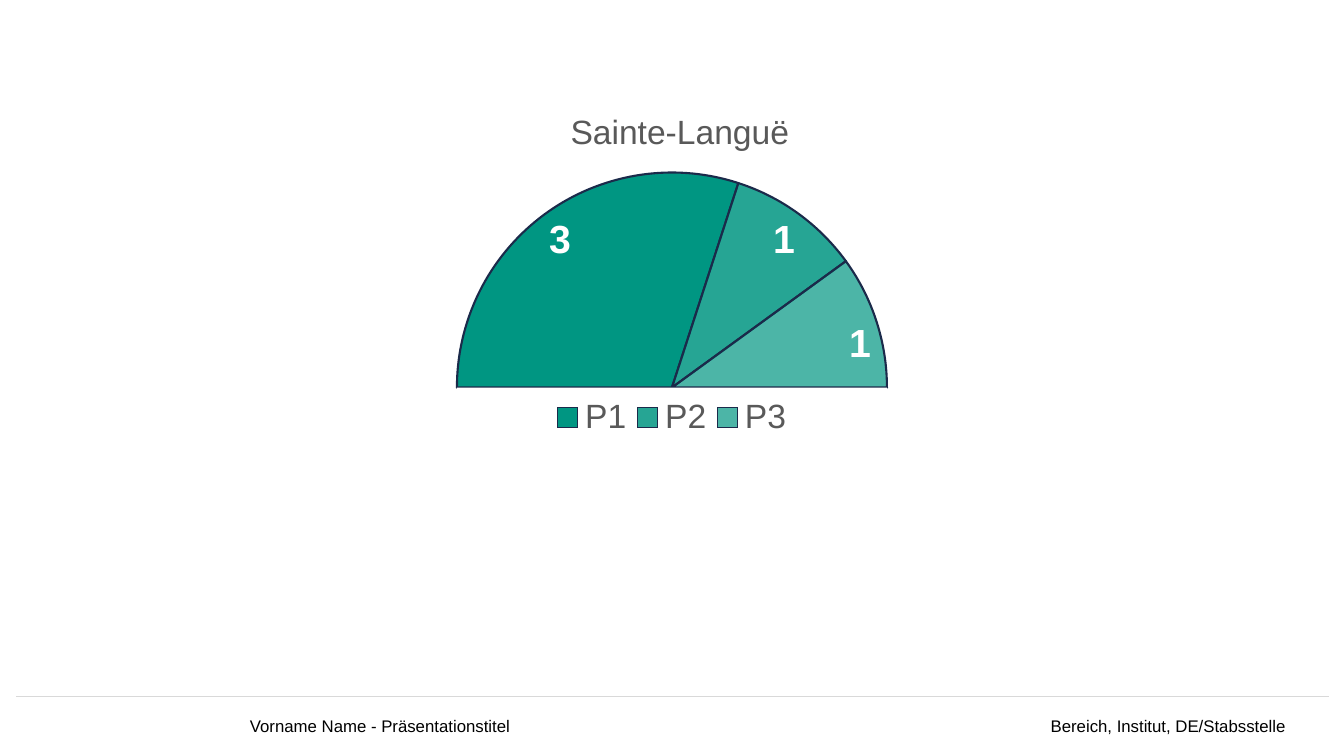
from lxml.etree import SubElement
from pptx import Presentation
from pptx.chart.data import CategoryChartData
from pptx.dml.color import RGBColor
from pptx.enum.chart import XL_CHART_TYPE, XL_LABEL_POSITION, XL_LEGEND_POSITION
from pptx.enum.shapes import MSO_CONNECTOR
from pptx.enum.text import MSO_ANCHOR, PP_ALIGN
from pptx.oxml import parse_xml
from pptx.oxml.ns import nsdecls, qn
from pptx.util import Pt

GREEN = RGBColor(0x00, 0x96, 0x82)
NAVY = RGBColor(0x1B, 0x2A, 0x4A)
GREY = RGBColor(0x59, 0x59, 0x59)
RULE_GREY = RGBColor(0xD9, 0xD9, 0xD9)
BLACK = RGBColor(0, 0, 0)
WHITE = RGBColor(0xFF, 0xFF, 0xFF)
FONT = "Arial"
TITLE = "Sainte-Languë"
SEATS = {"P1": 3, "P2": 1, "P3": 1, "P6": 5}
OPACITIES = (100, 85, 70)
HIDDEN_INDEX = len(OPACITIES)


def set_font(font, size, color, bold=False):
    font.name = FONT
    font.size = Pt(size)
    font.bold = bold
    font.color.rgb = color


def chart_layout(inner=False, **fractions):
    target = '<c:layoutTarget val="inner"/>' if inner else ""
    modes = "".join(f'<c:{side}Mode val="edge"/>' for side in "xy")
    values = "".join(f'<c:{key} val="{value}"/>' for key, value in fractions.items())
    return parse_xml(
        f'<c:layout {nsdecls("c")}><c:manualLayout>{target}{modes}{values}'
        "</c:manualLayout></c:layout>"
    )


def place_layout(parent, layout, predecessor=None):
    for existing in parent.findall(qn("c:layout")):
        parent.remove(existing)
    if predecessor is None:
        parent.insert(0, layout)
    else:
        parent.find(qn(predecessor)).addnext(layout)


def format_slices(series):
    for index, opacity in enumerate(OPACITIES):
        slice_format = series.points[index].format
        slice_format.fill.solid()
        slice_format.fill.fore_color.rgb = GREEN
        slice_format.line.color.rgb = NAVY
        slice_format.line.width = Pt(1.5)
        if opacity < 100:
            color = slice_format.fill._xPr.find(qn("a:solidFill"))[0]
            SubElement(color, qn("a:alpha"), val=str(opacity * 1000))
    hidden_format = series.points[HIDDEN_INDEX].format
    hidden_format.fill.solid()
    hidden_format.fill.fore_color.rgb = WHITE
    hidden_format.line.fill.background()


def format_labels(labels):
    labels.show_value = True
    labels.position = XL_LABEL_POSITION.INSIDE_END
    set_font(labels.font, 28, WHITE, bold=True)
    labels._element.insert(0, parse_xml(
        f'<c:dLbl {nsdecls("c")}><c:idx val="{HIDDEN_INDEX}"/><c:delete val="1"/></c:dLbl>'
    ))


def add_seat_chart(slide, left, top, width, height):
    data = CategoryChartData()
    data.categories = list(SEATS)
    data.add_series(TITLE, list(SEATS.values()))
    chart = slide.shapes.add_chart(
        XL_CHART_TYPE.PIE, Pt(left), Pt(top), Pt(width), Pt(height), data
    ).chart
    set_font(chart.font, 10, BLACK)

    chart.has_title = True
    title = chart.chart_title
    paragraph = title.text_frame.paragraphs[0]
    paragraph.text = TITLE
    set_font(paragraph.font, 24, GREY)
    title.include_in_layout = False
    place_layout(title._element, chart_layout(x=0.38, y=0.04), "c:tx")

    plot = chart.plots[0]
    plot.vary_by_categories = True
    pie = plot._element
    angle = pie.find(qn("c:firstSliceAng"))
    if angle is None:
        angle = SubElement(pie, qn("c:firstSliceAng"))
    angle.set("val", "270")
    place_layout(pie.getparent(), chart_layout(True, x=0.26, y=0.15, w=0.48, h=0.73))

    series = plot.series[0]
    format_slices(series)
    format_labels(series.data_labels)

    chart.has_legend = True
    legend = chart.legend
    legend.position = XL_LEGEND_POSITION.BOTTOM
    legend.include_in_layout = False
    set_font(legend.font, 24, GREY)
    position = legend._element.find(qn("c:legendPos"))
    position.addnext(parse_xml(
        f'<c:legendEntry {nsdecls("c")}><c:idx val="{HIDDEN_INDEX}"/>'
        '<c:delete val="1"/></c:legendEntry>'
    ))
    place_layout(
        legend._element, chart_layout(x=0.36, y=0.53, w=0.28, h=0.07), "c:legendEntry"
    )


def add_footer_text(slide, text, left, top, width, height, alignment):
    shape = slide.shapes.add_textbox(Pt(left), Pt(top), Pt(width), Pt(height))
    frame = shape.text_frame
    frame.word_wrap = True
    frame.vertical_anchor = MSO_ANCHOR.MIDDLE
    frame.margin_left = frame.margin_right = frame.margin_top = frame.margin_bottom = 0
    paragraph = frame.paragraphs[0]
    paragraph.text = text
    paragraph.alignment = alignment
    set_font(paragraph.font, 12, BLACK)


def add_footer(slide, left, top, width, height):
    rule = slide.shapes.add_connector(
        MSO_CONNECTOR.STRAIGHT, Pt(left), Pt(top), Pt(left + width), Pt(top)
    )
    rule.line.color.rgb = RULE_GREY
    rule.line.width = Pt(1)
    SubElement(rule._element.spPr, qn("a:effectLst"))
    add_footer_text(slide, "Vorname Name - Präsentationstitel",
                    left + 167, top, 387, height, PP_ALIGN.LEFT)
    add_footer_text(slide, "Bereich, Institut, DE/Stabsstelle",
                    left + 566.5, top, 340.5, height, PP_ALIGN.RIGHT)


def main():
    presentation = Presentation()
    presentation.slide_width = Pt(960)
    presentation.slide_height = Pt(540)
    slide = presentation.slides.add_slide(presentation.slide_layouts[6])
    add_footer(slide, 11.5, 497.5, 937.5, 42.5)
    add_seat_chart(slide, 160, 57, 640, 427)
    presentation.save("out.pptx")


if __name__ == "__main__":
    main()
